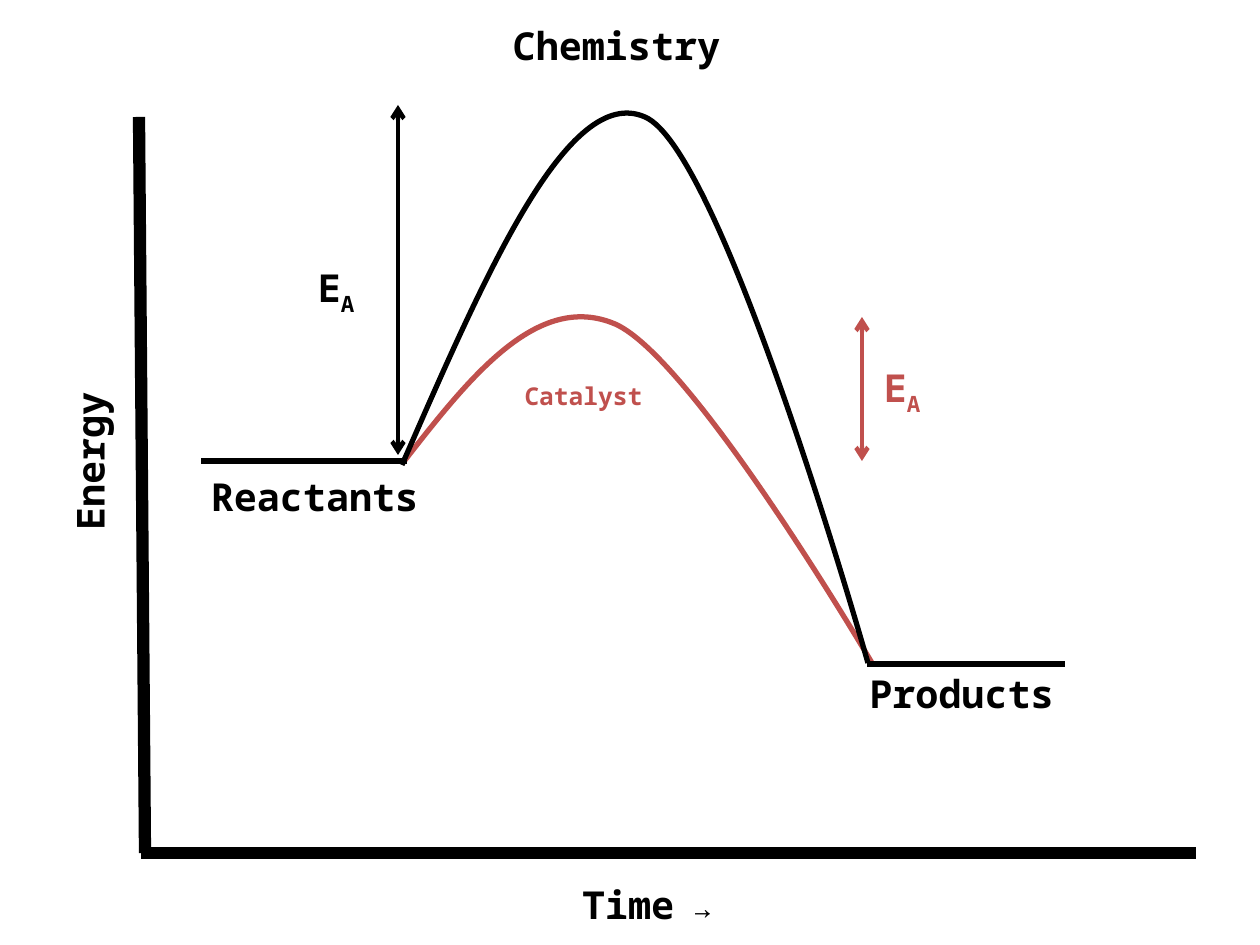
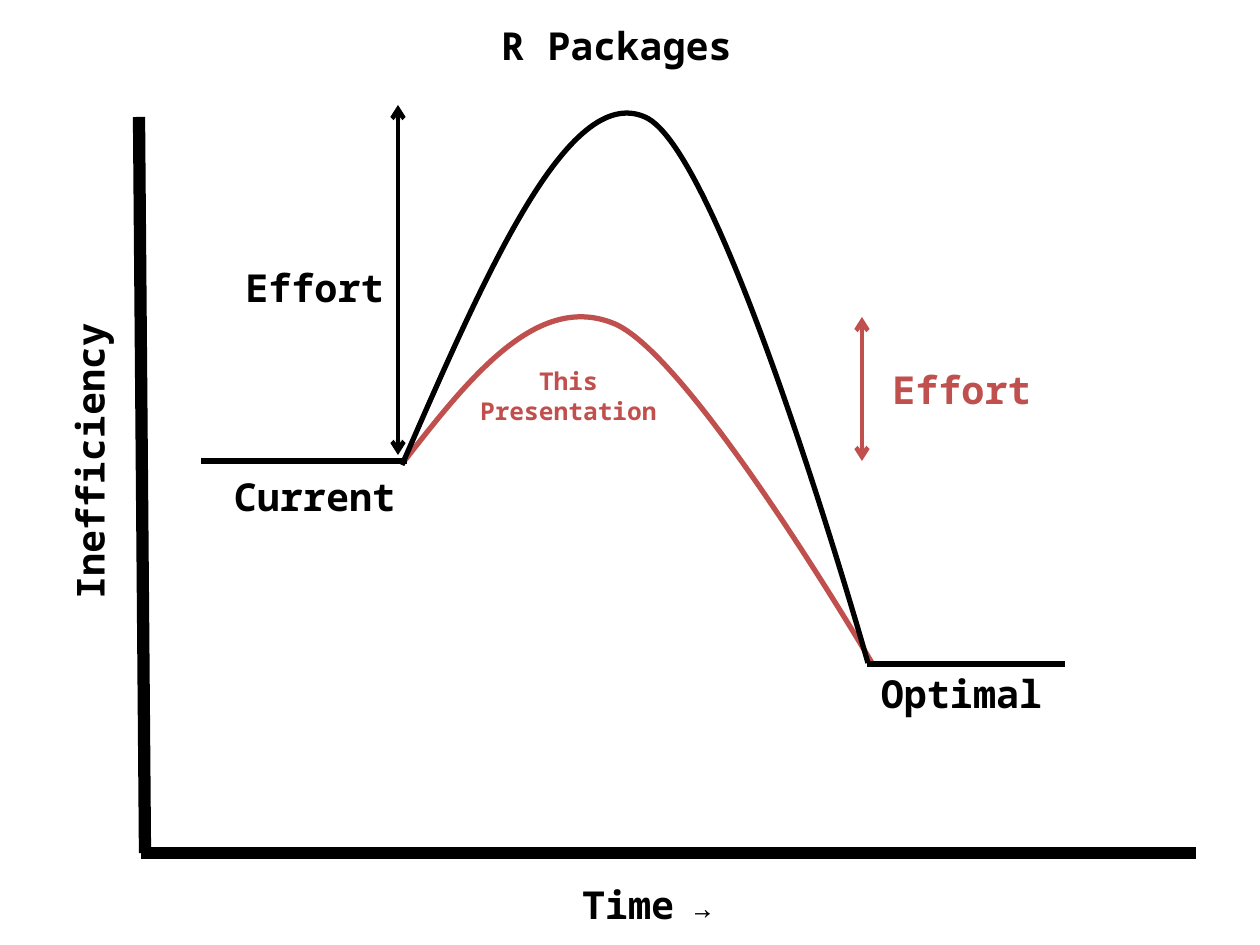
from pptx import Presentation
from pptx import util as u
from pptx.dml.color import RGBColor
from pptx.enum import shapes, text
from pptx.oxml.ns import qn
from lxml import etree

PX = 914400 / 126  # EMU per pixel
BLACK = RGBColor(0x00, 0x00, 0x00)
RED = RGBColor(0xC0, 0x50, 0x4D)
FONT = "Noto Sans Mono"
BIG, MEDIUM, SMALL = 22, 18, 14
LABEL_W, LABEL_H = 509, 59
PLOT = (139, 105, 1057, 748)  # left, top, width, height
TITLE = (362, 16, LABEL_W, LABEL_H)


def px(n):
    return u.Emu(round(n * PX))


def plain(string, size=BIG):
    return [(string, size, 0)]


# Paragraphs of (text, size, baseline) runs
E_A = [[("E", BIG, 0), ("A", BIG, -25000), (" ", MEDIUM, 0)]]
TIME = [[("Time", BIG, 0), (" \u2192 ", MEDIUM, 0)]]


def write(tf, paragraphs, color):
    """Fill a text frame with centred bold paragraphs."""
    tf.word_wrap = True
    for i, runs in enumerate(paragraphs):
        p = tf.paragraphs[0] if i == 0 else tf.add_paragraph()
        p.alignment = text.PP_ALIGN.CENTER
        for string, size, baseline in runs:
            r = p.add_run()
            r.text = string
            r.font.name = FONT
            r.font.size = u.Pt(size)
            r.font.bold = True
            r.font.color.rgb = color
            if baseline:
                r.font._element.set("baseline", str(baseline))


def add_label(s, x, y, paragraphs, color=BLACK, w=LABEL_W, h=LABEL_H):
    sp = s.shapes.add_textbox(px(x), px(y), px(w), px(h))
    write(sp.text_frame, paragraphs, color)
    sp.text_frame.auto_size = text.MSO_AUTO_SIZE.SHAPE_TO_FIT_TEXT
    return sp


def add_line(s, x1, y1, x2, y2, width, color=BLACK, arrows=False):
    line = s.shapes.add_connector(
        shapes.MSO_CONNECTOR.STRAIGHT, px(x1), px(y1), px(x2), px(y2))
    line.line.color.rgb = color
    line.line.width = u.Pt(width)
    if arrows:
        ln = line.line._get_or_add_ln()
        for end in ("a:headEnd", "a:tailEnd"):
            etree.SubElement(ln, qn(end)).set("type", "arrow")
    etree.SubElement(line._element.spPr, qn("a:effectLst"))


def add_curve(s, x, y, w, h, points, color):
    """Draw joined cubic curves in a box; points are relative to it."""
    builder = s.shapes.build_freeform(px(x), px(y))
    builder.add_line_segments([(px(x + w), px(y + h))], close=False)
    sp = builder.convert_to_shape()
    sp.fill.background()
    sp.line.color.rgb = color
    sp.line.width = u.Pt(3)
    sp.shadow.inherit = False

    # Swap the diagonal for curves, three points to each
    outline = next(sp._element.iter(qn("a:path")))
    for step in list(outline):
        outline.remove(step)
    steps = [("a:moveTo", points[:1])]
    steps += [("a:cubicBezTo", points[i:i + 3])
              for i in range(1, len(points), 3)]
    for tag, step_points in steps:
        step = etree.SubElement(outline, qn(tag))
        for a, b in step_points:
            pt = etree.SubElement(step, qn("a:pt"))
            pt.set("x", str(px(a)))
            pt.set("y", str(px(b)))


def add_title(s, box, string):
    sp = s.shapes.title
    sp.left, sp.top, sp.width, sp.height = map(px, box)
    write(sp.text_frame, [plain(string)], BLACK)
    sp.text_frame.auto_size = text.MSO_AUTO_SIZE.SHAPE_TO_FIT_TEXT


def add_axes(s, box, vertical):
    x, y, w, h = box
    add_line(s, x, y + 12, x + 6, y + h, 7)
    add_line(s, x + w, y + h, x + 2, y + h, 7)
    add_label(s, x + 263, y + h + 22, TIME)
    sp = add_label(s, x - 209, y + 327, [plain(vertical)], w=319)
    sp.rotation = 270


def add_barriers(s, box):
    """Both curves, the levels they join and the height arrows."""
    x, y, w, h = box
    start, end = y + 356, y + 559
    add_curve(s, x + 263, y + 213, 470, 346,
              [(0, 146), (67, 60), (135, -27), (213, 6),
               (291, 40), (470, 345), (470, 345)], RED)
    add_line(s, x + 268, start, x + 62, start, 3)
    add_curve(s, x + 263, y + 8, 466, 551,
              [(0, 352), (83, 162), (166, -30), (243, 4),
               (321, 37), (466, 550), (466, 550)], BLACK)
    add_line(s, x + 926, end, x + 728, end, 3)
    add_line(s, x + 259, y, x + 259, y + 350, 2.5, arrows=True)
    add_line(s, x + 723, y + 212, x + 723, start, 2.5, RED, arrows=True)


def add_labels(s, box, before, after, high, low, helper):
    """Level names, then (x, y, paragraphs) for heights and helper."""
    x, y, w, h = box
    add_label(s, x - 79, y + 362, [plain(before)])
    add_label(s, x + 568, y + 559, [plain(after)])
    for (dx, dy, paragraphs), color in ((high, BLACK), (low, RED), (helper, RED)):
        add_label(s, x + dx, y + dy, paragraphs, color)


def add_diagram(prs, title, vertical, **labels):
    s = prs.slides.add_slide(prs.slide_layouts[5])
    add_title(s, TITLE, title)
    add_axes(s, PLOT, vertical)
    add_barriers(s, PLOT)
    add_labels(s, PLOT, **labels)


prs = Presentation()
prs.slide_width, prs.slide_height = u.Inches(10), u.Inches(7.5)

# Slide 1: activation energy
add_diagram(prs, "Chemistry", "Energy",
            before="Reactants", after="Products",
            high=(-48, 153, E_A), low=(518, 253, E_A),
            helper=(190, 270, [plain("Catalyst", SMALL)]))

# Slide 2: effort of adopting packages
effort = [plain("Effort")]
add_diagram(prs, "R Packages", "Inefficiency",
            before="Current", after="Optimal",
            high=(-79, 153, effort), low=(568, 255, effort),
            helper=(175, 255, [plain("This", SMALL),
                               plain("Presentation", SMALL)]))

prs.save("out.pptx")
